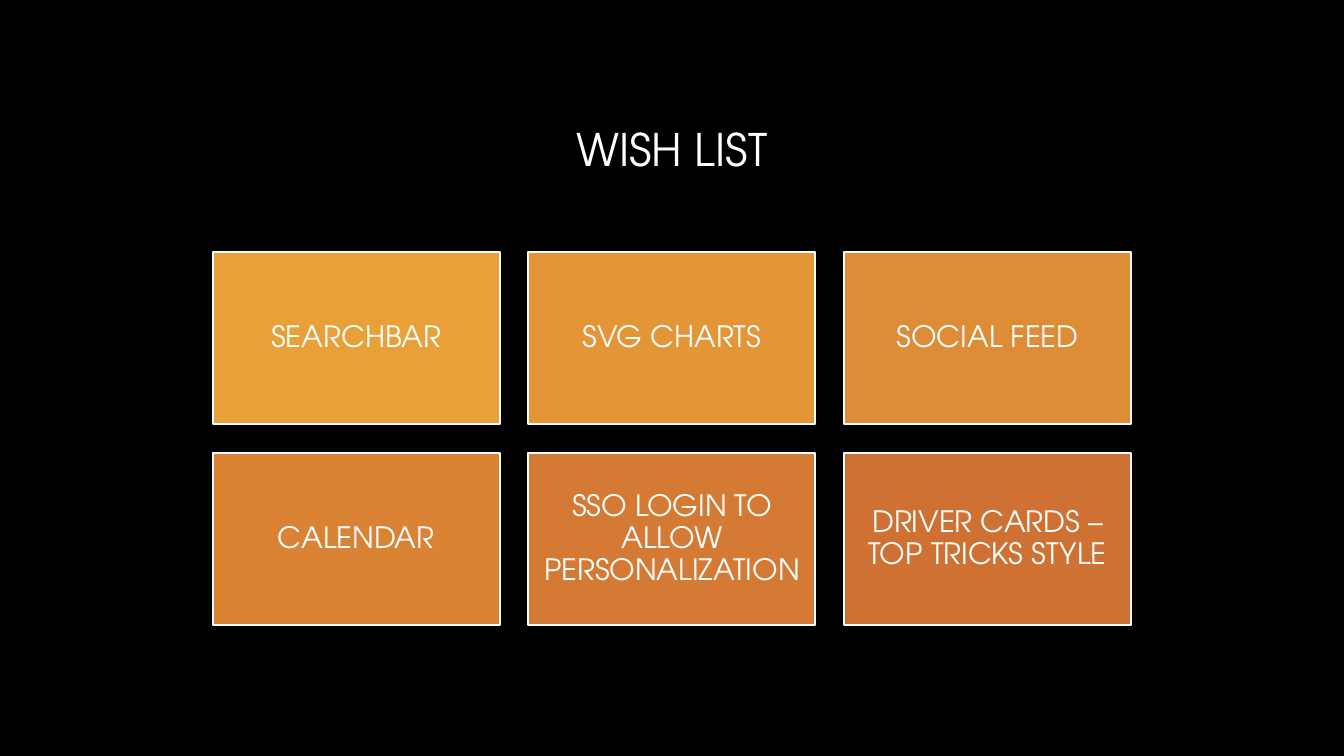
from dataclasses import dataclass

from pptx import Presentation
from pptx.dml.color import RGBColor
from pptx.enum.shapes import MSO_SHAPE
from pptx.enum.text import MSO_ANCHOR, PP_ALIGN
from pptx.slide import Slide
from pptx.text.text import TextFrame
from pptx.util import Pt

RECTANGLE = MSO_SHAPE.RECTANGLE
MIDDLE = MSO_ANCHOR.MIDDLE
CENTER = PP_ALIGN.CENTER

BLACK = RGBColor(0x00, 0x00, 0x00)
WHITE = RGBColor(0xFF, 0xFF, 0xFF)
FONT = "TeX Gyre Adventor"

COLUMNS = 3
GRID_LEFT, GRID_TOP = 152, 180
CARD_WIDTH, CARD_HEIGHT = 205, 123
GAP = 20.5
INSET = 6.5


@dataclass(frozen=True)
class Wish:
    text: str
    fill: RGBColor


WISHES = [
    Wish("SEARCHBAR", RGBColor(0xE9, 0xA0, 0x39)),
    Wish("SVG CHARTS", RGBColor(0xE4, 0x96, 0x37)),
    Wish("SOCIAL FEED", RGBColor(0xDF, 0x8C, 0x36)),
    Wish("CALENDAR", RGBColor(0xDA, 0x83, 0x35)),
    Wish("SSO LOGIN TO ALLOW PERSONALIZATION", RGBColor(0xD5, 0x7A, 0x34)),
    Wish("DRIVER CARDS – TOP TRICKS STYLE", RGBColor(0xCF, 0x71, 0x33)),
]


def set_text(tf: TextFrame, text: str, size: float, line_spacing: float) -> None:
    """Write one centred white paragraph."""
    tf.text = text
    tf.word_wrap = True
    tf.vertical_anchor = MIDDLE
    p = tf.paragraphs[0]
    p.alignment = CENTER
    p.line_spacing = line_spacing
    font = p.runs[0].font
    for name, value in {"name": FONT, "size": Pt(size), "bold": False}.items():
        setattr(font, name, value)
    font.color.rgb = WHITE


def add_title(s: Slide, text: str) -> None:
    sp = s.shapes.title
    frame = {"left": 90, "top": 48, "width": 780, "height": 116}
    for name, value in frame.items():
        setattr(sp, name, Pt(value))
    set_text(sp.text_frame, text, 32, 1.0)


def add_card(s: Slide, wish: Wish, index: int) -> None:
    row, column = divmod(index, COLUMNS)
    sp = s.shapes.add_shape(
        RECTANGLE,
        Pt(GRID_LEFT + column * (CARD_WIDTH + GAP)),
        Pt(GRID_TOP + row * (CARD_HEIGHT + GAP)),
        Pt(CARD_WIDTH),
        Pt(CARD_HEIGHT),
    )
    sp.shadow.inherit = False
    sp.fill.solid()
    sp.fill.fore_color.rgb = wish.fill
    sp.line.color.rgb = WHITE
    sp.line.width = Pt(1.5)
    tf = sp.text_frame
    for side in ("left", "top", "right", "bottom"):
        setattr(tf, f"margin_{side}", Pt(INSET))
    set_text(tf, wish.text, 21, 0.9)


def main() -> None:
    prs = Presentation()
    prs.slide_width, prs.slide_height = Pt(960), Pt(540)
    s = prs.slides.add_slide(prs.slide_layouts.get_by_name("Title Only"))
    s.background.fill.solid()
    s.background.fill.fore_color.rgb = BLACK
    add_title(s, "WISH LIST")
    for index, wish in enumerate(WISHES):
        add_card(s, wish, index)
    prs.save("out.pptx")


if __name__ == "__main__":
    main()
